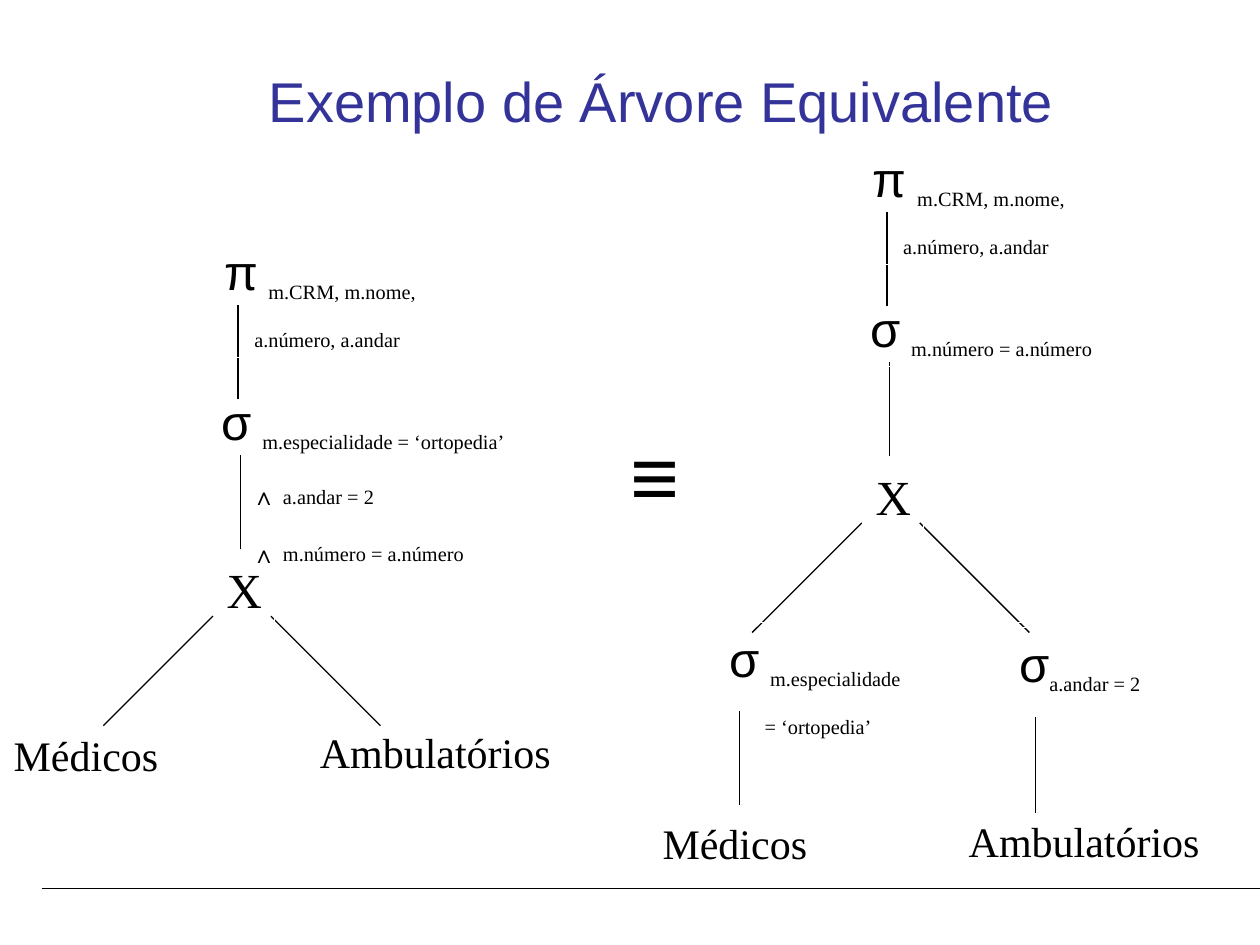
from pptx import Presentation
from pptx.dml.color import RGBColor
from pptx.enum.shapes import MSO_CONNECTOR, MSO_SHAPE
from pptx.enum.text import MSO_ANCHOR, PP_ALIGN
from pptx.oxml.ns import qn
from pptx.util import Inches, Pt
from lxml.etree import SubElement

BLACK, WHITE, BLUE = "000000", "FFFFFF", "333399"
SANS, SERIF = "Arial", "Times New Roman"


def color(code):
    return RGBColor.from_string(code)


def put(para, text, size=24, font=SERIF, ink=BLACK, base=0):
    """Add one run; base is the baseline shift in percent."""
    run = para.add_run()
    run.text = text
    run.font.size = Pt(size)
    run.font.name = font
    run.font.color.rgb = color(ink)
    if base:
        run.font._element.set("baseline", str(base * 1000))


def sub(para, text, **form):
    """Add a subscript run."""
    put(para, text, **{"size": 20, "base": -25, **form})


class Board:
    def __init__(self, slide):
        self.shapes = slide.shapes
        self.width = Pt(0.75)

    def line(self, x1, y1, x2, y2):
        item = self.shapes.add_connector(
            MSO_CONNECTOR.STRAIGHT, Inches(x1), Inches(y1), Inches(x2), Inches(y2))
        item.line.color.rgb = color(BLACK)
        item.line.width = self.width
        SubElement(item._element.spPr, qn("a:effectLst"))

    def title(self, text, x, y, w, h):
        frame = self.shapes.add_textbox(
            Inches(x), Inches(y), Inches(w), Inches(h)).text_frame
        frame.word_wrap = True
        frame.vertical_anchor = MSO_ANCHOR.MIDDLE
        para = frame.paragraphs[0]
        para.alignment = PP_ALIGN.CENTER
        put(para, text, size=32, font=SANS, ink=BLUE)

    def box(self, x, y, w, h, wrap=True):
        """Add an unfilled box with a white edge and return its text frame."""
        item = self.shapes.add_shape(
            MSO_SHAPE.RECTANGLE, Inches(x), Inches(y), Inches(w), Inches(h))
        item.shadow.inherit = False
        item.fill.background()
        item.line.color.rgb = color(WHITE)
        item.line.width = self.width
        frame = item.text_frame
        frame.word_wrap = wrap
        frame.vertical_anchor = MSO_ANCHOR.TOP
        frame.paragraphs[0].alignment = PP_ALIGN.LEFT
        return frame

    def label(self, text, x, y, w, h, **form):
        put(self.box(x, y, w, h, wrap=False).paragraphs[0], text, **form)

    def node(self, sign, lines, x, y, w, h, gap=" ", indent=0.24, mark=""):
        """Add an operator sign whose subscript may run over several lines."""
        frame = self.box(x, y, w, h)
        para = frame.paragraphs[0]
        put(para, sign, size=28, font=SANS)
        if gap:
            put(para, gap)
        sub(para, lines[0])
        for text in lines[1:]:
            para = frame.add_paragraph()
            para.alignment = PP_ALIGN.LEFT
            para._p.get_or_add_pPr().set("marL", str(Inches(indent)))
            if mark:
                sub(para, mark, size=24, font=SANS)
            sub(para, text)

    def tables(self, x, y, gap):
        self.label("Médicos", x, y, 1.35, 0.5)
        self.label("Ambulatórios", x + gap, y - 0.02, 2.03, 0.5)

    def tree(self, x, y, tests, high):
        """Draw projection, selection and product; x, y is the top left corner."""
        for foot, head in ((-0.86, 0.01), (1.34, 0.47)):
            self.line(x + foot, y + 3.89, x + head, y + 3.02)
        self.label("X", x + 0.02, y + 2.52, 0.48, 0.57, size=28)
        self.line(x + 0.23, y + 2.49, x + 0.23, y + 1.74)
        self.node("σ", tests, x - 0.02, y + 1.19, 2.88, high, mark="∧ ")
        self.line(x + 0.21, y + 1.3, x + 0.21, y + 0.55)
        self.node("π", ["m.CRM, m.nome,", "a.número, a.andar"], x, y, 2.27, 0.97)


def main():
    deck = Presentation()
    deck.slide_width, deck.slide_height = Inches(10), Inches(7.5)
    board = Board(deck.slides.add_slide(deck.slide_layouts[6]))
    match = "m.número = a.número"

    board.line(0.33, 7.05, 10, 7.05)
    board.title("Exemplo de Árvore Equivalente", 0.75, 0.17, 9, 1.25)

    board.tables(0.01, 5.74, 2.43)
    board.tree(1.68, 1.87,
               ["m.especialidade = ‘ortopedia’", "a.andar = 2", match], 1.5)

    board.tables(5.16, 6.44, 2.43)
    board.tree(6.83, 1.13, [match], 0.59)
    board.node("σ", ["m.especialidade", "= ‘ortopedia’"],
               5.69, 4.94, 2.88, 1.43, indent=0.28)
    board.node("σ", ["a.andar = 2"], 7.99, 4.98, 1.52, 0.61, gap="")
    board.line(5.87, 6.39, 5.87, 5.64)
    board.line(8.22, 6.45, 8.22, 5.69)

    board.label("≡", 4.91, 3.31, 0.73, 0.9, size=48, font=SANS)
    deck.save("out.pptx")


if __name__ == "__main__":
    main()
